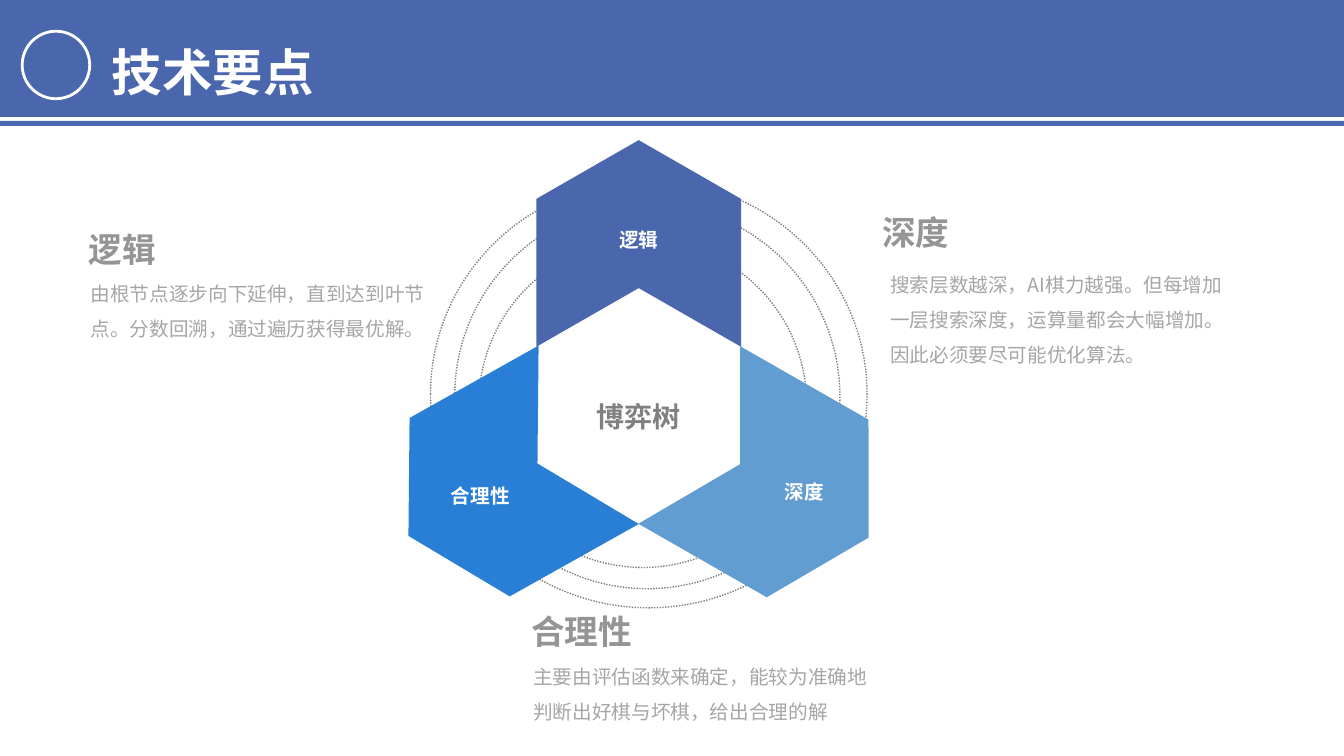
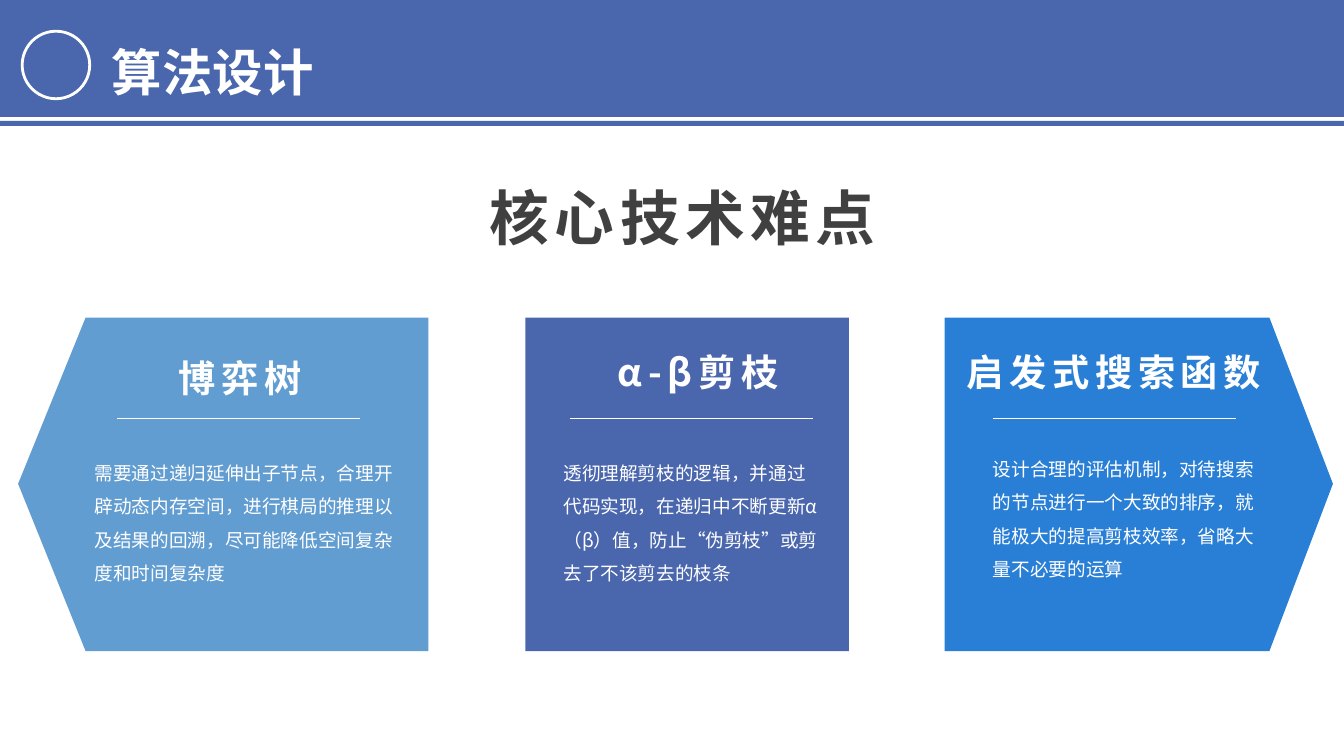
from lxml import etree
from pptx import Presentation
from pptx.dml.color import RGBColor
from pptx.enum import dml, shapes, text
from pptx.oxml.ns import qn
from pptx.util import Inches, Pt

FONT = "Noto Sans CJK SC"
NAVY, SKY, BLUE, WHITE = "4A66AC", "629DD1", "297FD5", "FFFFFF"
GREY, HEADING, PALE, DARK = "808080", "959595", "A6A6A6", "404040"
CENTER = text.PP_ALIGN.CENTER
MIDDLE = text.MSO_ANCHOR.MIDDLE
SHAPE = shapes.MSO_SHAPE

# Slide 1
RINGS = [(4.27, 1.79, 4.33, 4.24), (4.51, 2.02, 3.82, 3.82), (4.75, 2.38, 3.25, 3.25)]
CHEVRONS = [  # left, top, rotation, colour
    (3.92, 3.80, 150.7, BLUE),
    (5.31, 1.40, 270, NAVY),
    (6.70, 3.81, 29.8, SKY),
]
LABELS = [  # wording, box, size, colour
    ("博弈树", (5.32, 3.91, 2.03, 0.44), 20, GREY),
    ("逻辑", (5.22, 2.21, 2.23, 0.34), 14, WHITE),
    ("合理性", (4.13, 4.75, 1.27, 0.34), 14, WHITE),
    ("深度", (7.34, 4.71, 1.27, 0.34), 14, WHITE),
]
POINTS = [  # heading, its left and top, explanation, its left, top and height
    ("深度", 8.65, 2.01,
     "搜索层数越深，AI棋力越强。但每增加一层搜索深度，运算量都会大幅增加。因此必须要尽可能优化算法。",
     8.73, 2.54, 1.06),
    ("合理性", 5.17, 5.97,
     "主要由评估函数来确定，能较为准确地判断出好棋与坏棋，给出合理的解",
     5.19, 6.43, 0.87),
    ("逻辑", 0.78, 2.18,
     "由根节点逐步向下延伸，直到达到叶节点。分数回溯，通过遍历获得最优解。",
     0.8, 2.63, 0.87),
]

# Slide 2
CARD_TOP, CARD_BOTTOM, TIP_Y = 3.15, 6.46, 4.8
RULE_Y, RULE_WIDTH = 4.15, 2.41
CARDS = [
    dict(color=SKY, left=0.85, right=4.25, tip=0.18, rule=1.16,
         heading="博弈树", heading_box=(1.24, 3.48, 2.29, 0.55), align=CENTER,
         body="需要通过递归延伸出子节点，合理开辟动态内存空间，进行棋局的推理以及结果的回溯，尽可能降低空间复杂度和时间复杂度",
         body_box=(0.84, 4.42, 3.18, 1.6)),
    dict(color=NAVY, left=5.21, right=8.42, tip=None, rule=5.65,
         heading="α-β剪枝", heading_box=(5.78, 3.42, 2.29, 0.55), align=CENTER,
         body="透彻理解剪枝的逻辑，并通过代码实现，在递归中不断更新α（β）值，防止“伪剪枝”或剪去了不该剪去的枝条",
         body_box=(5.49, 4.42, 2.73, 1.45)),
    dict(color=BLUE, left=9.37, right=12.59, tip=13.22, rule=9.85,
         heading="启发式搜索函数", heading_box=(9.49, 3.42, 3.26, 0.49), align=None,
         body="设计合理的评估机制，对待搜索的节点进行一个大致的排序，就能极大的提高剪枝效率，省略大量不必要的运算",
         body_box=(9.75, 4.38, 2.79, 1.65)),
]


def rgb(value):
    return RGBColor.from_string(value)


def inches(box):
    return [Inches(length) for length in box]


def paint(shape, fill=None, line=None, width=1.0):
    shape.shadow.inherit = False
    if fill:
        shape.fill.solid()
        shape.fill.fore_color.rgb = rgb(fill)
    else:
        shape.fill.background()
    if line:
        shape.line.color.rgb = rgb(line)
        shape.line.width = Pt(width)
    else:
        shape.line.fill.background()
    return shape


def add_shape(page, kind, box, **colors):
    return paint(page.shapes.add_shape(kind, *inches(box)), **colors)


def write(shape, wording, size, color, bold=False, align=None, spacing=None,
          before=0, tracking=0, anchor=text.MSO_ANCHOR.TOP, wrap=True):
    frame = shape.text_frame
    frame.text = wording
    frame.word_wrap = wrap
    frame.auto_size = text.MSO_AUTO_SIZE.NONE
    frame.vertical_anchor = anchor
    para = frame.paragraphs[0]
    para.alignment = align
    para.line_spacing = spacing
    para.space_before = Pt(before)
    span = para.runs[0]
    span.font.size, span.font.bold = Pt(size), bold
    span.font.name = FONT
    span.font.color.rgb = rgb(color)
    properties = span.font._element
    etree.SubElement(properties, qn("a:ea")).set("typeface", FONT)
    if tracking:
        properties.set("spc", str(tracking * 100))


def add_text(page, wording, box, size, color, **style):
    write(page.shapes.add_textbox(*inches(box)), wording, size, color, **style)


def add_page(deck, title):
    """Add a slide with the header band, its stripe, the ring and the title."""
    page = deck.slides.add_slide(deck.slide_layouts[5])
    for top, height in [(0, 1.16), (1.2, 0.05)]:
        add_shape(page, SHAPE.RECTANGLE, (0, top, 13.33, height), fill=NAVY)
    add_shape(page, SHAPE.OVAL, (0.22, 0.31, 0.67, 0.67), fill=NAVY, line=WHITE, width=2)
    holder = page.shapes.title
    holder.left, holder.top, holder.width, holder.height = inches((1.01, 0.06, 6.24, 1.01))
    write(holder, title, 36, WHITE, bold=True, align=text.PP_ALIGN.LEFT, spacing=1.5)
    page.shapes.element.append(holder.element)  # bring the title in front of the band
    return page


def add_card(page, card):
    left, right, tip = card["left"], card["right"], card["tip"]
    if tip is None:
        add_shape(page, SHAPE.RECTANGLE,
                  (left, CARD_TOP, right - left, CARD_BOTTOM - CARD_TOP), fill=card["color"])
    else:
        shoulder, flat = (left, right) if tip < left else (right, left)
        outline = [(shoulder, CARD_BOTTOM), (flat, CARD_BOTTOM), (flat, CARD_TOP),
                   (shoulder, CARD_TOP), (tip, TIP_Y)]
        corners = [inches(corner) for corner in outline]
        builder = page.shapes.build_freeform(*corners[0])
        builder.add_line_segments(corners[1:], close=True)
        paint(builder.convert_to_shape(), fill=card["color"])
    rule = page.shapes.add_connector(
        shapes.MSO_CONNECTOR.STRAIGHT,
        *inches((card["rule"], RULE_Y, card["rule"] + RULE_WIDTH, RULE_Y)))
    rule.line.color.rgb = rgb(WHITE)
    rule.line.width = Pt(0.5)
    etree.SubElement(rule.element.spPr, qn("a:effectLst"))
    add_text(page, card["heading"], card["heading_box"], 26.6, WHITE,
             bold=True, align=card["align"], tracking=4)
    add_text(page, card["body"], card["body_box"], 13.3, WHITE, spacing=1.5)


def build_key_points(deck):
    page = add_page(deck, "技术要点")
    for box in RINGS:
        ring = add_shape(page, SHAPE.OVAL, box, line=GREY)
        ring.line.dash_style = dml.MSO_LINE.ROUND_DOT
    for left, top, rotation, color in CHEVRONS:
        chevron = add_shape(page, SHAPE.CHEVRON, (left, top, 2.05, 2.03), fill=color)
        chevron.adjustments[0] = 0.287
        chevron.rotation = rotation
    for wording, box, size, color in LABELS:
        add_text(page, wording, box, size, color, bold=True, align=CENTER)
    for heading, left, top, body, body_left, body_top, body_height in POINTS:
        add_text(page, body, (body_left, body_top, 3.65, body_height), 14, PALE,
                 spacing=1.5, before=2.8)
        add_text(page, heading, (left, top, 3.15, 0.58), 24, HEADING,
                 bold=True, anchor=MIDDLE)


def build_algorithm_design(deck):
    page = add_page(deck, "算法设计")
    add_text(page, "核心技术难点", (4.76, 1.74, 4.09, 0.82), 42.6, DARK,
             bold=True, tracking=4, wrap=False)
    for card in CARDS:
        add_card(page, card)


def main():
    deck = Presentation()
    deck.slide_width, deck.slide_height = inches((13.33, 7.5))
    build_key_points(deck)
    build_algorithm_design(deck)
    deck.save("out.pptx")


if __name__ == "__main__":
    main()
